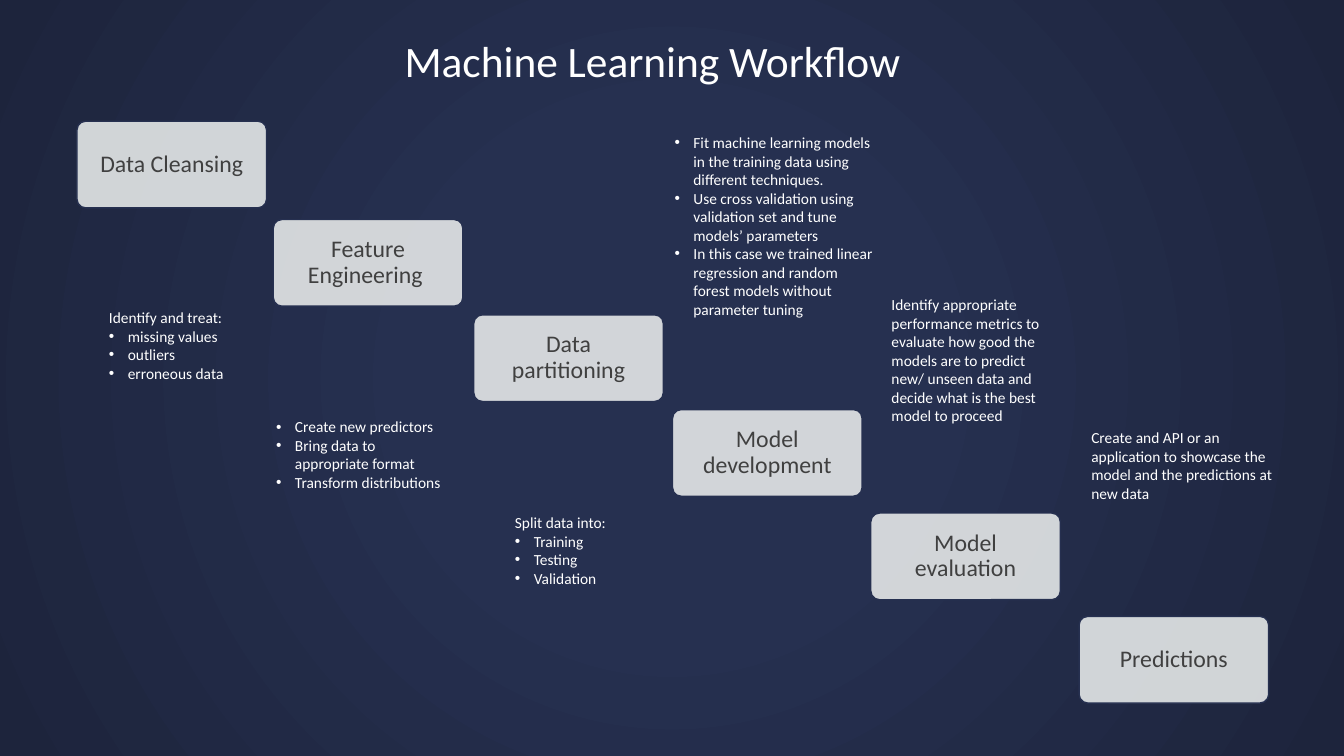
from collections import namedtuple

from lxml.etree import SubElement
from pptx import Presentation
from pptx.dml.color import RGBColor
from pptx.enum.shapes import MSO_SHAPE as Shape
from pptx.enum.text import MSO_ANCHOR as Anchor, MSO_AUTO_SIZE as AutoSize, PP_ALIGN as Align
from pptx.oxml.ns import qn
from pptx.util import Pt

NAVY = RGBColor(0x26, 0x30, 0x50)
MIDNIGHT = RGBColor(0x1D, 0x24, 0x3C)
MIST = RGBColor(0xE5, 0xE8, 0xE8)
CHARCOAL = RGBColor(0x40, 0x40, 0x40)
WHITE = RGBColor(0xFF, 0xFF, 0xFF)

COMPARISON_LAYOUT = 4
STAGE_SIZE = (135.4, 61.9)
BULLET_INDENT = Pt(13.5)

# Each stage: label and its corner, then the note's area, lead line and bullets
Stage = namedtuple("Stage", "label corner note_area lead bullets")
STAGES = [
    Stage("Data Cleansing", (55, 86.6), (70.6, 216.7, 123, 60.6),
          "Identify and treat:", ["missing values", "outliers", "erroneous data"]),
    Stage("Feature Engineering ", (195.2, 156.8), (190, 294.6, 135.4, 60.6), None,
          ["Create new predictors", "Bring data to appropriate format",
           "Transform distributions"]),
    Stage("Data partitioning", (338.4, 224.9), (360.6, 363, 135.4, 60.6),
          "Split data into:", ["Training", "Testing", "Validation"]),
    Stage("Model development", (480.4, 292.6), (474.6, 91.6, 158.4, 140.4), None,
          ["Fit machine learning models in the training data using different techniques.",
           "Use cross validation using validation set and tune models’ parameters",
           "In this case we trained linear regression and random forest models "
           "without parameter tuning"]),
    Stage("Model evaluation", (622, 366.5), (629.7, 207.4, 135.4, 100.8),
          "Identify appropriate performance metrics to evaluate how good the models are "
          "to predict new/ unseen data and decide what is the best model to proceed", []),
    Stage("Predictions", (770.8, 440.3), (772.4, 302.4, 150.5, 60.6),
          "Create and API or an application to showcase the model and the predictions "
          "at new data", []),
]


def set_bullet(para, bulleted):
    properties = para._p.get_or_add_pPr()
    properties.set("marL", str(BULLET_INDENT if bulleted else 0))
    properties.set("indent", str(-BULLET_INDENT if bulleted else 0))
    if bulleted:
        SubElement(properties, qn("a:buFont"), typeface="Arial")
        SubElement(properties, qn("a:buChar"), char="•")
    else:
        SubElement(properties, qn("a:buNone"))


def write_text(para, text, *, font, size, color, align=Align.LEFT, spacing=1.0, bulleted=False):
    para.alignment = align
    para.line_spacing = spacing
    para.space_before = para.space_after = Pt(0)
    set_bullet(para, bulleted)
    span = para.add_run()
    span.text = text
    span.font.name = font
    span.font.size = Pt(size)
    span.font.bold = False
    span.font.color.rgb = color


class WorkflowSlide:
    """Holds the style and the current slide."""

    font = "Calibri"

    def __init__(self, page):
        self.page = page
        self.free_bodies = [holder for holder in page.placeholders
                            if holder.placeholder_format.idx != 0]

    def background(self, inner, outer):
        fill = self.page.background.fill
        fill.gradient()
        for stop, color, position in zip(fill.gradient_stops, (inner, outer), (0.32, 1)):
            stop.color.rgb = color
            stop.position = position
        # Turn the linear gradient into a circle around the centre
        gradient = next(self.page.element.iter(qn("a:gradFill")))
        gradient.remove(gradient.find(qn("a:lin")))
        circle = SubElement(gradient, qn("a:path"), path="circle")
        SubElement(circle, qn("a:fillToRect"), l="50000", t="50000", r="50000", b="50000")

    def place(self, box, left, top, width, height):
        box.left, box.top = Pt(left), Pt(top)
        box.width, box.height = Pt(width), Pt(height)

    def title(self, text, area):
        box = self.page.shapes.title
        self.place(box, *area)
        box.text_frame.vertical_anchor = Anchor.BOTTOM
        write_text(box.text_frame.paragraphs[0], text, font=self.font, size=31,
                   color=WHITE, align=Align.CENTER, spacing=0.9)

    def stage(self, text, left, top):
        width, height = STAGE_SIZE
        box = self.page.shapes.add_shape(Shape.ROUNDED_RECTANGLE, Pt(left), Pt(top),
                                         Pt(width), Pt(height))
        box.adjustments[0] = 0.1
        box.shadow.inherit = False
        box.fill.solid()
        box.fill.fore_color.rgb = MIST
        SubElement(next(box.element.spPr.iter(qn("a:srgbClr"))), qn("a:alpha"), val="90000")
        box.line.color.rgb = NAVY
        box.line.width = Pt(1)
        frame = box.text_frame
        frame.word_wrap = True
        frame.vertical_anchor = Anchor.MIDDLE
        frame.margin_left = frame.margin_right = Pt(11)
        frame.margin_top = frame.margin_bottom = Pt(11)
        write_text(frame.paragraphs[0], text, font=self.font, size=17,
                   color=CHARCOAL, align=Align.CENTER, spacing=0.9)

    def note(self, area, lead, bullets):
        # Lists take a body placeholder, plain notes a text box
        if bullets:
            box = self.free_bodies.pop(0)
        else:
            box = self.page.shapes.add_textbox(0, 0, 0, 0)
        self.place(box, *area)
        frame = box.text_frame
        frame.word_wrap = True
        frame.auto_size = AutoSize.SHAPE_TO_FIT_TEXT
        frame.vertical_anchor = Anchor.TOP
        lines = [(lead, False)] if lead else []
        lines += [(bullet, True) for bullet in bullets]
        for number, (text, bulleted) in enumerate(lines):
            para = frame.add_paragraph() if number else frame.paragraphs[0]
            write_text(para, text, font=self.font, size=11, color=WHITE, bulleted=bulleted)


def main():
    deck = Presentation()
    deck.slide_width, deck.slide_height = Pt(960), Pt(540)
    slide = WorkflowSlide(deck.slides.add_slide(deck.slide_layouts[COMPARISON_LAYOUT]))

    # Backdrop and title
    slide.background(NAVY, MIDNIGHT)
    slide.title("Machine Learning Workflow", (208, 15, 516, 51))

    # Staircase of stages with their notes
    for stage in STAGES:
        slide.stage(stage.label, *stage.corner)
        slide.note(stage.note_area, stage.lead, stage.bullets)

    deck.save("out.pptx")


if __name__ == "__main__":
    main()
